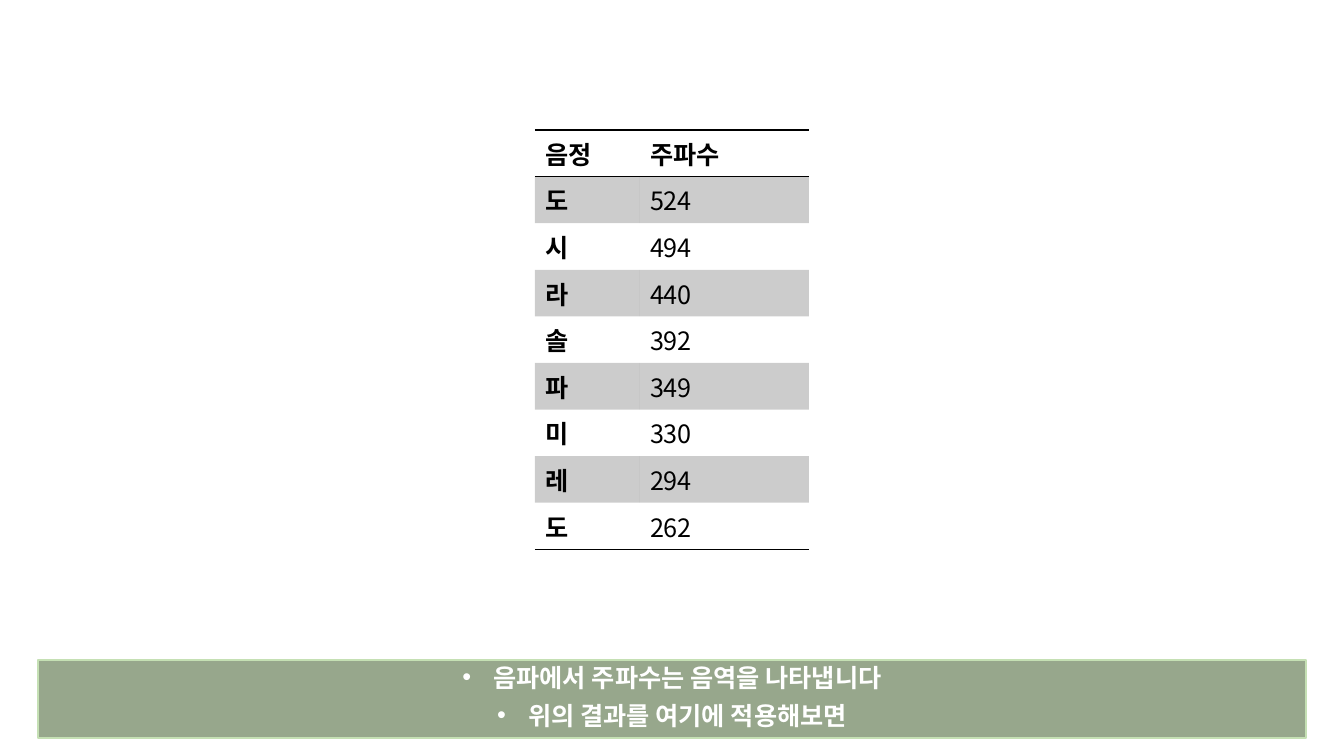
from dataclasses import dataclass

from lxml import etree
from pptx import Presentation
from pptx.dml.color import RGBColor
from pptx.enum.shapes import MSO_SHAPE
from pptx.enum.text import MSO_ANCHOR, PP_ALIGN
from pptx.oxml.ns import qn
from pptx.util import Emu, Pt

RECTANGLE = MSO_SHAPE.RECTANGLE
MIDDLE = MSO_ANCHOR.MIDDLE
LEFT, CENTER = PP_ALIGN.LEFT, PP_ALIGN.CENTER
EMU_PER_PIXEL = 914400 / 100.8
NO_GRID_STYLE = "{2D5ABB26-0587-4C30-8999-92F81FD0307C}"


@dataclass(frozen=True)
class Theme:
    font: str = "Noto Sans CJK KR"
    body_size: int = 18
    ink: str = "000000"
    light: str = "FFFFFF"
    banner: str = "385723"
    banner_edge: str = "C5E0B4"
    band_opacity: int = 20
    banner_opacity: int = 52


@dataclass(frozen=True)
class Tone:
    pitch: str
    frequency: str


@dataclass(frozen=True)
class Box:
    left: int
    top: int
    width: int
    height: int

    def emu(self) -> tuple[Emu, ...]:
        return tuple(px(n) for n in (self.left, self.top, self.width, self.height))


THEME = Theme()
HEADING = Tone("음정", "주파수")
SCALE = [
    Tone("도", "524"),
    Tone("시", "494"),
    Tone("라", "440"),
    Tone("솔", "392"),
    Tone("파", "349"),
    Tone("미", "330"),
    Tone("레", "294"),
    Tone("도", "262"),
]
COLUMN_WIDTHS = [32, 73, 169]
ROW_HEIGHT = 41
BANNER_BOX = Box(38, 660, 1268, 78)
BANNER_LINES = ["음파에서 주파수는 음역을 나타냅니다", "위의 결과를 여기에 적용해보면"]


def px(pixels: int) -> Emu:
    return Emu(round(pixels * EMU_PER_PIXEL))


def write(paragraph, text: str, *, color: str, bold: bool = False, align=LEFT) -> None:
    paragraph.alignment = align
    run = paragraph.add_run()
    run.text = text
    font = run.font
    font.size = Pt(THEME.body_size)
    font.bold = bold
    font.color.rgb = RGBColor.from_string(color)
    font.name = THEME.font
    etree.SubElement(run._r.get_or_add_rPr(), qn("a:ea"), typeface=THEME.font)


def fill_translucent(fill, properties, color: str, opacity: int) -> None:
    fill.solid()
    fill.fore_color.rgb = RGBColor.from_string(color)
    tint = properties.find(qn("a:solidFill")).find(qn("a:srgbClr"))
    etree.SubElement(tint, qn("a:alpha"), val=str(opacity * 1000))


def rule_cell(cell, edge: str) -> None:
    line = etree.SubElement(cell._tc.get_or_add_tcPr(), qn(f"a:{edge}"), w=str(Pt(1)))
    ink = etree.SubElement(line, qn("a:solidFill"))
    etree.SubElement(ink, qn("a:srgbClr"), val=THEME.ink)


def draw_scale(slide) -> None:
    tones = [HEADING, *SCALE]
    last = len(tones) - 1
    box = Box(535, 130, sum(COLUMN_WIDTHS), ROW_HEIGHT * len(tones))
    table = slide.shapes.add_table(len(tones), len(COLUMN_WIDTHS), *box.emu()).table
    table.first_row = table.horz_banding = False
    table._tbl.tblPr.find(qn("a:tableStyleId")).text = NO_GRID_STYLE
    for column, width in zip(table.columns, COLUMN_WIDTHS):
        column.width = px(width)

    for index, tone in enumerate(tones):
        table.rows[index].height = px(ROW_HEIGHT)
        pitch, filler, frequency = (table.cell(index, i) for i in range(3))
        if index < last:
            pitch.merge(filler)
        edges = {0: ["lnT", "lnB"], last: ["lnB"]}.get(index, [])
        for cell in (pitch, filler, frequency):
            for edge in edges:
                rule_cell(cell, edge)
            if index % 2:
                fill_translucent(
                    cell.fill, cell._tc.tcPr if cell._tc.tcPr is not None
                    else cell._tc.get_or_add_tcPr(), THEME.ink, THEME.band_opacity
                )
            else:
                cell.fill.background()
        write(pitch.text_frame.paragraphs[0], tone.pitch, color=THEME.ink, bold=True)
        write(frequency.text_frame.paragraphs[0], tone.frequency,
              color=THEME.ink, bold=index == 0)


def draw_banner(slide) -> None:
    banner = slide.shapes.add_shape(RECTANGLE, *BANNER_BOX.emu())
    banner.shadow.inherit = False
    fill_translucent(banner.fill, banner._element.spPr, THEME.banner, THEME.banner_opacity)
    banner.line.color.rgb = RGBColor.from_string(THEME.banner_edge)
    banner.line.width = Pt(2)
    frame = banner.text_frame
    frame.word_wrap = True
    frame.vertical_anchor = MIDDLE
    for index, line in enumerate(BANNER_LINES):
        paragraph = frame.add_paragraph() if index else frame.paragraphs[0]
        write(paragraph, line, color=THEME.light, bold=True, align=CENTER)
        paragraph.line_spacing = 0.8
        paragraph.space_before = Pt(10)
        properties = paragraph._p.get_or_add_pPr()
        properties.set("marL", str(px(31)))
        properties.set("indent", str(-px(31)))
        etree.SubElement(properties, qn("a:buFont"), typeface="Arial")
        etree.SubElement(properties, qn("a:buChar"), char="•")


def main() -> None:
    presentation = Presentation()
    presentation.slide_width, presentation.slide_height = px(1344), px(756)
    slide = presentation.slides.add_slide(presentation.slide_layouts[6])
    draw_scale(slide)
    draw_banner(slide)
    presentation.save("out.pptx")


main()
